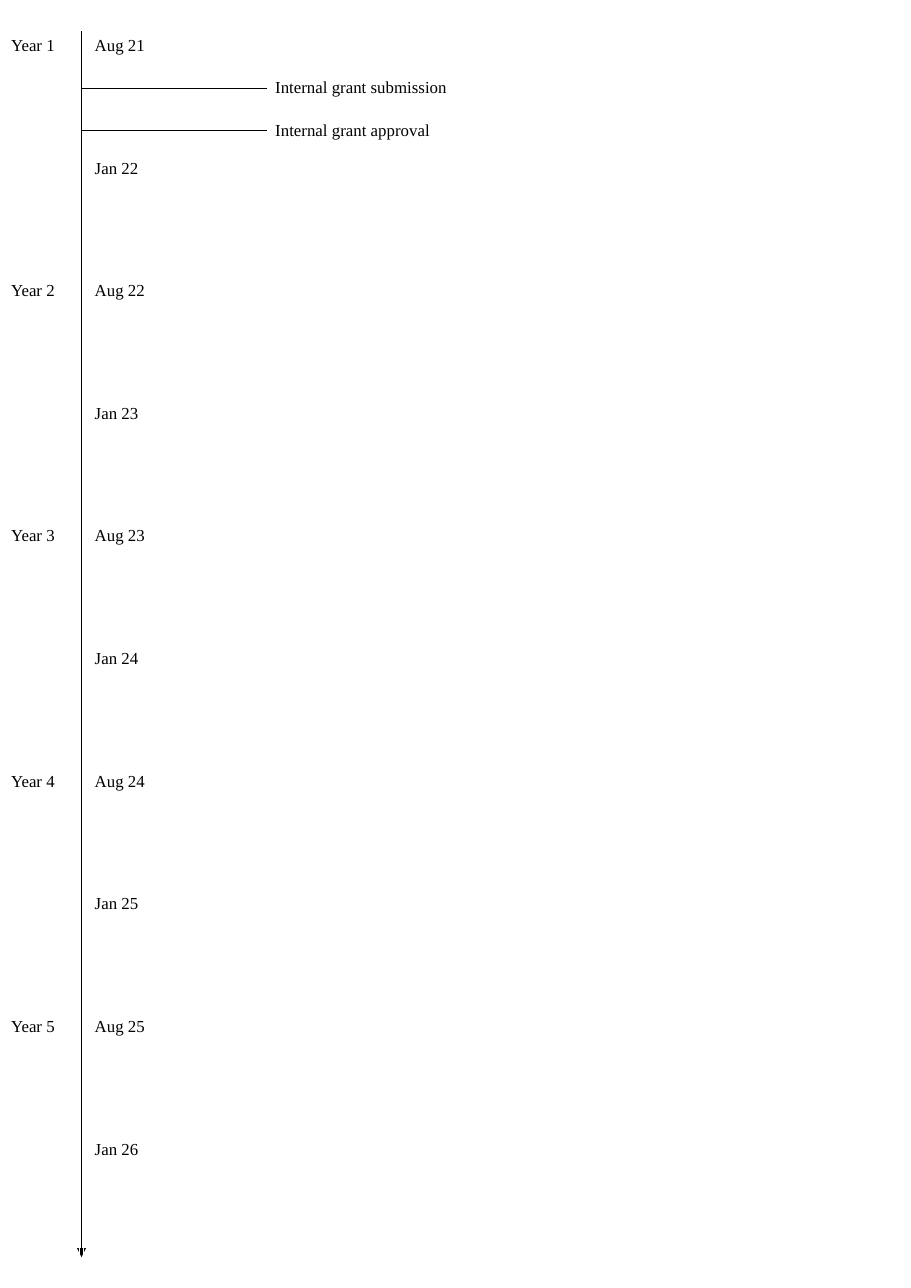
from dataclasses import dataclass

from lxml import etree
from pptx import Presentation
from pptx.dml.color import RGBColor
from pptx.enum.text import MSO_AUTO_SIZE
from pptx.oxml.ns import qn
from pptx.util import Inches, Pt
from pptx.enum.shapes import MSO_CONNECTOR

STRAIGHT = MSO_CONNECTOR.STRAIGHT
GROW = MSO_AUTO_SIZE.SHAPE_TO_FIT_TEXT

COLORS = {"ink": "000000"}
FONT = "Times New Roman"
TOP, HIGH = 0.28, 11.13
AXIS = 0.74
YEARS, START = 5, 21


@dataclass
class Column:
    left: float
    width: float
    labels: list[str]


@dataclass
class Event:
    label: str
    line: float
    top: float
    width: float


COLUMNS = [
    Column(0.76, 0.87, [label for year in range(START, START + YEARS)
                        for label in (f"Aug {year}", f"Jan {year + 1}")]),
    Column(0, 0.72, [label for num in range(1, YEARS + 1)
                     for label in (f"Year {num}", "")]),
]
EVENTS = [
    Event("Internal grant submission", 0.8, 0.65, 1.76),
    Event("Internal grant approval", 1.18, 1.04, 1.61),
]


def write(frame, text: str, size: float = 11, color: str = "ink") -> None:
    """Put formatted text in a frame."""
    run = frame.paragraphs[0].add_run()
    run.text = text
    run.font.name = FONT
    run.font.size = Pt(size)
    run.font.color.rgb = RGBColor.from_string(COLORS[color])


def draw_line(slide, start: tuple[float, float], end: tuple[float, float],
              arrow: bool = False) -> None:
    """Draw a thin line, with an arrowhead at its end if asked."""
    line = slide.shapes.add_connector(
        STRAIGHT, *(Inches(n) for n in (*start, *end)))
    line.line.width = Pt(0.5)
    line.line.color.rgb = RGBColor.from_string(COLORS["ink"])
    if arrow:
        etree.SubElement(line.line._get_or_add_ln(), qn("a:tailEnd"),
                         type="triangle")
    etree.SubElement(line._element.spPr, qn("a:effectLst"))


def draw_column(slide, col: Column) -> None:
    """Draw a plain one-column table with equal rows."""
    count = len(col.labels)
    table = slide.shapes.add_table(
        count, 1, Inches(col.left), Inches(TOP),
        Inches(col.width), Inches(HIGH)).table
    table.first_row = table.horz_banding = False
    for row, label in enumerate(col.labels):
        table.rows[row].height = Inches(HIGH / count)
        cell = table.cell(row, 0)
        cell.fill.background()
        if label:
            write(cell.text_frame, label)


def draw_event(slide, event: Event) -> None:
    """Draw a branch off the axis and its label."""
    draw_line(slide, (AXIS, event.line), (2.42, event.line))
    box = slide.shapes.add_textbox(
        Inches(2.4), Inches(event.top), Inches(event.width), Inches(0.29))
    box.text_frame.word_wrap = False
    box.text_frame.auto_size = GROW
    write(box.text_frame, event.label)


def main() -> None:
    deck = Presentation()
    deck.slide_width, deck.slide_height = Inches(8.27), Inches(11.69)
    slide = deck.slides.add_slide(deck.slide_layouts[6])

    # Time axis
    draw_line(slide, (AXIS, TOP), (AXIS, TOP + HIGH), arrow=True)

    # Months and years
    for col in COLUMNS:
        draw_column(slide, col)

    # Grant events
    for event in EVENTS:
        draw_event(slide, event)

    deck.save("out.pptx")


if __name__ == "__main__":
    main()
